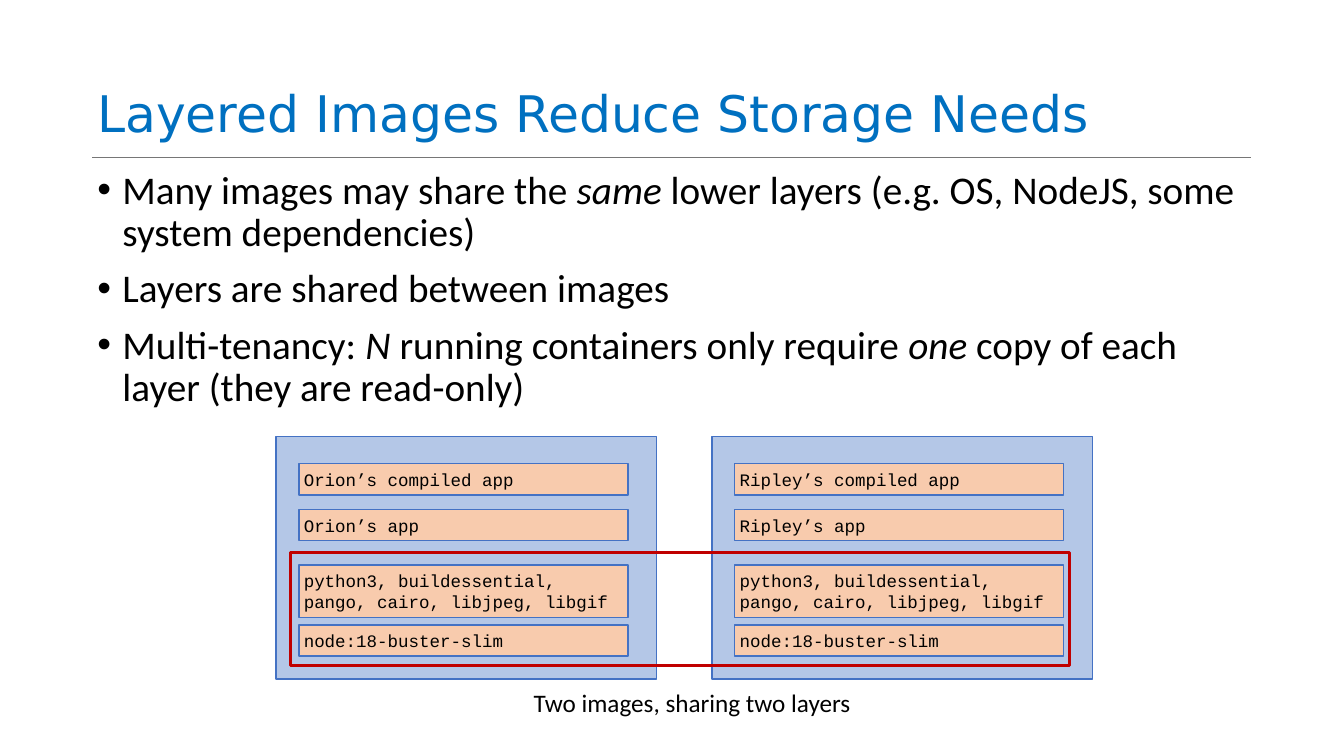
from lxml import etree
from pptx import Presentation
from pptx.dml.color import RGBColor
from pptx.enum import shapes, text
from pptx.oxml.ns import qn
from pptx.util import Inches, Pt

COLORS = {
    "title": "0070C0",
    "text": "000000",
    "rule": "767676",
    "border": "4472C4",
    "image": "B4C7E7",
    "layer": "F8CBAD",
    "shared": "C00000",
}


def rgb(name):
    return RGBColor.from_string(COLORS[name])


class SlideBuilder:
    """Holds the style and the current slide."""

    heading_font = "DejaVu Sans"
    body_font = "Calibri"
    code_font = "Courier New"

    def __init__(self, slide):
        self.slide = slide

    def place(self, shape, left, top, width, height):
        shape.left, shape.top = Inches(left), Inches(top)
        shape.width, shape.height = Inches(width), Inches(height)

    def frame(self, shape, anchor, auto_size=text.MSO_AUTO_SIZE.NONE):
        frame = shape.text_frame
        frame.word_wrap = True
        frame.auto_size = auto_size
        frame.vertical_anchor = anchor
        frame.margin_left = frame.margin_right = Inches(0.1)
        frame.margin_top = frame.margin_bottom = Inches(0.1)
        return frame

    def style(self, paragraph, font, size, color="text"):
        paragraph.alignment = text.PP_ALIGN.LEFT
        for run in paragraph.runs:
            run.font.name = font
            run.font.size = Pt(size)
            run.font.color.rgb = rgb(color)

    def title(self, wording, *box):
        shape = self.slide.shapes.title
        self.place(shape, *box)
        frame = self.frame(shape, text.MSO_ANCHOR.BOTTOM)
        frame.text = wording
        paragraph = frame.paragraphs[0]
        paragraph.line_spacing = 0.9
        self.style(paragraph, self.heading_font, 72, "title")

    def bullets(self, items, *box):
        """Each item is a list of pieces; every second piece is italic."""
        shape = self.slide.placeholders[1]
        self.place(shape, *box)
        frame = self.frame(shape, text.MSO_ANCHOR.TOP)
        for index, pieces in enumerate(items):
            paragraph = frame.add_paragraph() if index else frame.paragraphs[0]
            paragraph.line_spacing = 0.9
            paragraph.space_before = Pt(20 if index else 0)
            properties = paragraph._p.get_or_add_pPr()
            properties.set("marL", str(Inches(0.5)))
            properties.set("indent", str(-Inches(0.5)))
            etree.SubElement(properties, qn("a:buFont")).set("typeface", "Arial")
            etree.SubElement(properties, qn("a:buChar")).set("char", "•")
            for position, piece in enumerate(pieces):
                run = paragraph.add_run()
                run.text = piece
                run.font.italic = position % 2 == 1
            self.style(paragraph, self.body_font, 56)

    def rule(self, left, right, top):
        line = self.slide.shapes.add_connector(
            shapes.MSO_CONNECTOR.STRAIGHT,
            Inches(left), Inches(top), Inches(right), Inches(top))
        line.line.color.rgb = rgb("rule")
        line.line.width = Pt(1)
        etree.SubElement(line._element.spPr, qn("a:effectLst"))

    def box(self, left, top, width, height, fill=None, border="border", weight=2):
        shape = self.slide.shapes.add_shape(
            shapes.MSO_SHAPE.RECTANGLE,
            Inches(left), Inches(top), Inches(width), Inches(height))
        shape.shadow.inherit = False
        if fill:
            shape.fill.solid()
            shape.fill.fore_color.rgb = rgb(fill)
        else:
            shape.fill.background()
        shape.line.color.rgb = rgb(border)
        shape.line.width = Pt(weight)
        return shape

    def label(self, shape, wording, font, size):
        frame = self.frame(shape, text.MSO_ANCHOR.MIDDLE,
                           text.MSO_AUTO_SIZE.SHAPE_TO_FIT_TEXT)
        frame.text = wording
        self.style(frame.paragraphs[0], font, size)

    def caption(self, wording, *box):
        shape = self.slide.shapes.add_textbox(*map(Inches, box))
        self.label(shape, wording, self.body_font, 36)

    def container_image(self, owner, left):
        self.box(left, 8.66, 7.55, 4.81, "image")
        layers = [
            ("node:18-buster-slim", 12.4, 0.62),
            ("python3, buildessential, pango, cairo, libjpeg, libgif", 11.21, 1.04),
            (f"{owner}’s app", 10.11, 0.62),
            (f"{owner}’s compiled app", 9.2, 0.62),
        ]
        for wording, top, height in layers:
            layer = self.box(left + 0.45, top, 6.53, height, "layer")
            self.label(layer, wording, self.code_font, 25)


def main():
    presentation = Presentation()
    presentation.slide_width = Inches(26.67)
    presentation.slide_height = Inches(15)
    slide = presentation.slides.add_slide(presentation.slide_layouts[1])
    builder = SlideBuilder(slide)

    # Heading and its rule
    builder.rule(1.83, 24.83, 3.13)
    builder.title("Layered Images Reduce Storage Needs", 1.83, 0.04, 23, 2.9)

    # Main points
    builder.bullets([
        ["Many images may share the ", "same",
         " lower layers (e.g. OS, NodeJS, some system dependencies)"],
        ["Layers are shared between images"],
        ["Multi-tenancy: ", "N", " running containers only require ", "one",
         " copy of each layer (they are read-only)"],
    ], 1.83, 3.28, 23, 9.52)

    # Two images with their layers
    for owner, left in (("Orion", 5.48), ("Ripley", 14.13)):
        builder.container_image(owner, left)
    builder.caption("Two images, sharing two layers", 10.49, 13.54, 7.28, 0.81)

    # Outline around the shared layers
    builder.box(5.76, 10.96, 15.47, 2.25, border="shared", weight=4.5)

    presentation.save("out.pptx")


if __name__ == "__main__":
    main()
